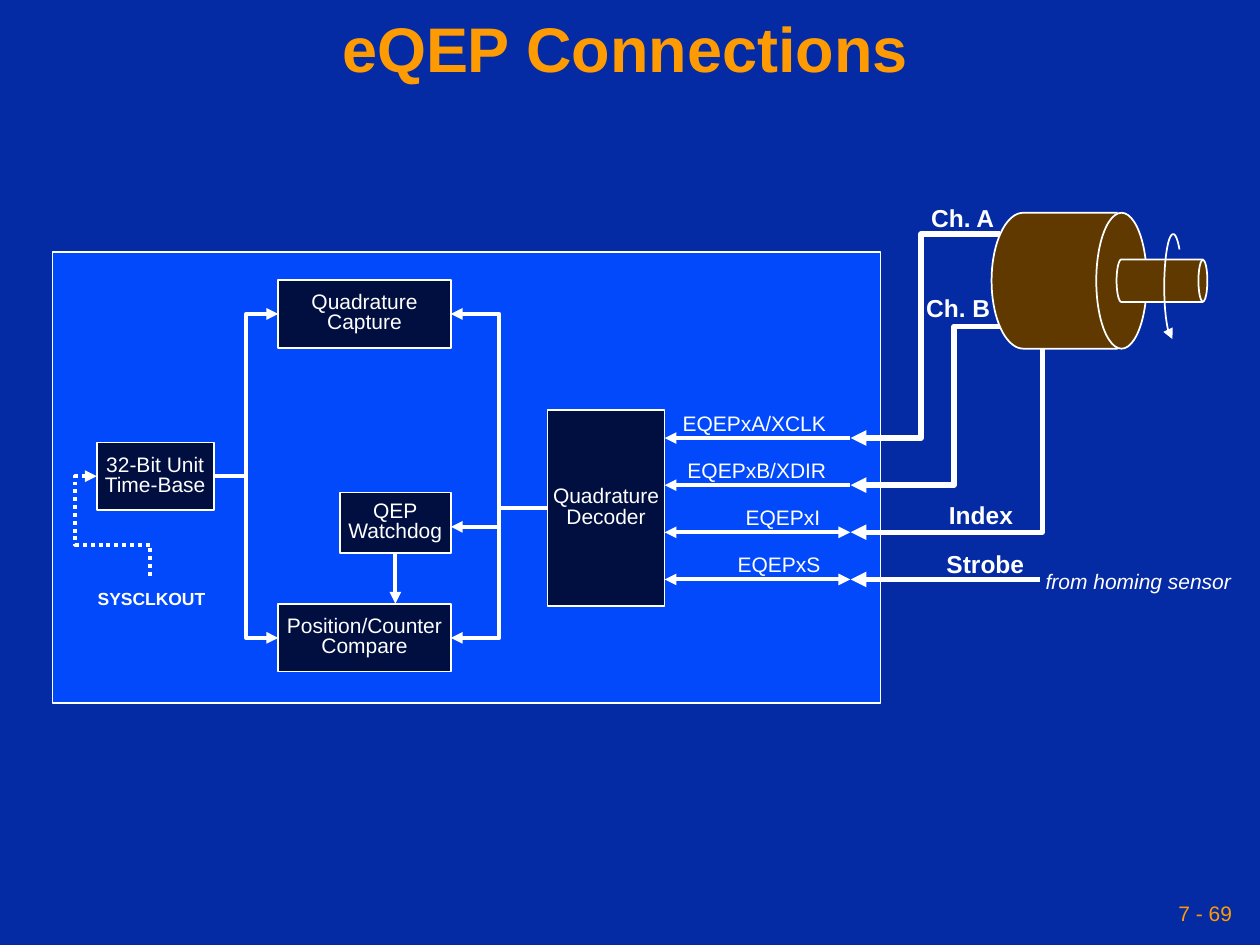
from math import cos, radians, sin

from lxml.etree import SubElement
from pptx import Presentation
from pptx.dml.color import RGBColor
from pptx.enum.dml import MSO_LINE
from pptx.enum.shapes import MSO_CONNECTOR as Link, MSO_SHAPE as Shape
from pptx.enum.text import MSO_ANCHOR as Anchor, PP_ALIGN as Align
from pptx.oxml.ns import qn
from pptx.util import Cm, Pt

NAVY = RGBColor(0x04, 0x2A, 0xA4)
BLUE = RGBColor(0x02, 0x49, 0xFC)
DARK = RGBColor(0x00, 0x0F, 0x40)
BROWN = RGBColor(0x60, 0x39, 0x00)
ORANGE = RGBColor(0xFE, 0x9B, 0x03)
WHITE = RGBColor(0xFF, 0xFF, 0xFF)

SIGNAL_TOP, SIGNAL_STEP = 3.75, 0.95


def style_paragraph(para, size, color=WHITE, bold=False, italic=False,
                    align=Align.LEFT, spacing=None):
    """Set the font and the layout of one paragraph."""
    para.alignment = align
    para.line_spacing = spacing
    font = para.font
    font.name, font.size, font.color.rgb = "Arial", Pt(size), color
    font.bold, font.italic = bold, italic


def add_label(page, text, left, top, width, height, size, **style):
    """Add one line of free text and return its text frame."""
    frame = page.shapes.add_textbox(Cm(left), Cm(top), Cm(width), Cm(height)).text_frame
    frame.word_wrap = False
    frame.text = text
    style_paragraph(frame.paragraphs[0], size, **style)
    return frame


def outline(shape, fill=None):
    """Give a shape a thin white line and an optional fill."""
    shape.shadow.inherit = False
    shape.line.color.rgb, shape.line.width = WHITE, Pt(1)
    if fill is None:
        shape.fill.background()
    else:
        shape.fill.solid()
        shape.fill.fore_color.rgb = fill


def add_preset(page, kind, left, top, width, height, fill):
    """Add an outlined preset shape."""
    shape = page.shapes.add_shape(kind, Cm(left), Cm(top), Cm(width), Cm(height))
    outline(shape, fill)
    return shape


def add_block(page, lines, left, top, width, height):
    """Add a dark box with centred lines of text."""
    box = add_preset(page, Shape.RECTANGLE, left, top, width, height, DARK)
    frame = box.text_frame
    frame.word_wrap, frame.vertical_anchor = False, Anchor.MIDDLE
    frame.text = "\n".join(lines)
    for para in frame.paragraphs:
        style_paragraph(para, 12, align=Align.CENTER, spacing=0.8)
    return box


def add_arrowheads(shape, *ends):
    """Put triangles on the named ends of a line."""
    for end in ends:
        SubElement(shape.line._get_or_add_ln(), qn(f"a:{end}"), type="triangle")


def add_wire(page, begin, end, ends=("tailEnd",), weight=2.25, preset=None,
             adjust=(), dash=None):
    """Add a white connector, straight unless a bent preset is named."""
    kind = Link.ELBOW if preset else Link.STRAIGHT
    wire = page.shapes.add_connector(kind, *map(Cm, begin + end))
    wire.line.color.rgb, wire.line.width = WHITE, Pt(weight)
    if dash:
        wire.line.dash_style = dash
    add_arrowheads(wire, *ends)
    properties = wire._element.spPr
    SubElement(properties, qn("a:effectLst"))
    if preset:
        geometry = properties.find(qn("a:prstGeom"))
        geometry.set("prst", preset)
        guides = geometry.get_or_add_avLst()
        for number, share in enumerate(adjust, 1):
            SubElement(guides, qn("a:gd"), name=f"adj{number}",
                       fmla=f"val {round(share * 100000)}")
    return wire


def arc_points(center_x, center_y, radius_x, radius_y, first, last):
    """Return points along an ellipse, with angles in degrees."""
    return [(center_x + radius_x * cos(radians(angle)),
             center_y + radius_y * sin(radians(angle)))
            for angle in range(first, last + 1, 5)]


def add_curve(page, points, fill=None):
    """Draw an open outline through the points."""
    start, *rest = [(Cm(x), Cm(y)) for x, y in points]
    builder = page.shapes.build_freeform(*start)
    builder.add_line_segments(rest, close=False)
    curve = builder.convert_to_shape()
    outline(curve, fill)
    return curve


def add_cylinder(page, center_x, center_y, radius_x, radius_y, right):
    """Draw the side of a lying cylinder, open on the right."""
    arc = arc_points(center_x, center_y, radius_x, radius_y, 90, 270)
    ends = [(right, center_y + radius_y), (right, center_y - radius_y)]
    add_curve(page, [ends[0], *arc, ends[1]], BROWN)


def add_module(page, left, top):
    """Draw the module panel with its blocks, wires and signals."""
    add_preset(page, Shape.RECTANGLE, left, top, 16.69, 9.09, BLUE)

    def block(lines, x, y, width, height):
        return add_block(page, lines, left + x, top + y, width, height)

    def wire(begin, end, **options):
        return add_wire(page, (left + begin[0], top + begin[1]),
                        (left + end[0], top + end[1]), **options)

    block(("Quadrature", "Decoder"), 9.98, 3.18, 2.36, 3.96)
    block(("Position/Counter", "Compare"), 4.55, 7.09, 3.48, 1.37)
    block(("Quadrature", "Capture"), 4.55, 0.56, 3.48, 1.37)
    block(("32-Bit Unit", "Time-Base"), 0.89, 3.84, 2.36, 1.37)
    watchdog = block(("QEP", "Watchdog"), 5.79, 4.85, 2.24, 1.22)

    for y in (1.25, 7.78):
        wire((9.98, 5.16), (8.03, y), preset="bentConnector3", adjust=(0.5,))
        wire((3.25, 4.52), (4.55, y), preset="bentConnector3", adjust=(0.5,))
    wire((9.01, 5.54), (8.03, 5.54))
    wire((6.91, 6.07), (6.91, 7.09)).begin_connect(watchdog, 2)
    wire((0.89, 4.52), (1.96, 6.58), ends=("headEnd",), preset="bentConnector4",
         adjust=(-0.4, 0.67), dash=MSO_LINE.ROUND_DOT)
    add_label(page, "SYSCLKOUT", left + 0.66, top + 6.73, 2.67, 0.61, 10,
              bold=True, spacing=0.8)

    signals = (("EQEPxA/XCLK", 12.45, 3.4, ("headEnd",)),
               ("EQEPxB/XDIR", 12.55, 3.3, ("headEnd",)),
               ("EQEPxI", 13.72, 2.01, ("headEnd", "tailEnd")),
               ("EQEPxS", 13.56, 2.18, ("headEnd", "tailEnd")))
    for row, (name, x, width, ends) in enumerate(signals):
        y = SIGNAL_TOP + row * SIGNAL_STEP
        wire((12.34, y), (16.08, y), ends=ends)
        add_label(page, name, left + x, top + y - 0.58, width, 0.66, 12, spacing=0.8)


def add_encoder_wiring(page, left, top):
    """Draw the labelled wires from the encoder to the module pins."""
    for name, x, y, width in (("Ch. A", 1.37, 0, 1.8), ("Ch. B", 1.27, 1.83, 1.8),
                              ("Index", 1.73, 5.99, 1.8), ("Strobe", 1.68, 6.99, 2.08)):
        add_label(page, name, left + x, top + y, width, 0.84, 14, bold=True)
    add_label(page, "from homing sensor", left + 3.68, top + 7.47, 4.24, 0.66, 12,
              italic=True, spacing=0.8)

    pins = [(left, top + 4.87 + row * SIGNAL_STEP) for row in range(4)]
    for pin, y, bend in ((pins[0], 0.76, 0.53), (pins[1], 2.62, 0.31)):
        add_wire(page, (left + 3.02, top + y), pin, weight=3,
                 preset="bentConnector3", adjust=(bend,))
    add_wire(page, pins[2], (left + 3.86, top + 3.02), ends=("headEnd",), weight=3,
             preset="bentConnector2")
    add_wire(page, (left + 3.81, pins[3][1]), pins[3], weight=3)


def add_encoder(page, left, top):
    """Draw the encoder body, its shaft and the rotation arrow."""
    axis = top + 1.37
    add_cylinder(page, left + 0.64, axis, 0.64, 1.37, left + 2.54)
    add_preset(page, Shape.OVAL, left + 2.11, top, 1.02, 2.74, BROWN)
    add_cylinder(page, left + 2.62, axis, 0.1, 0.43, left + 4.27)
    add_preset(page, Shape.OVAL, left + 4.17, axis - 0.42, 0.18, 0.84, BROWN)
    rotation = add_curve(page, arc_points(left + 3.66, top + 1.49, 0.18, 1.06, 95, 315))
    add_arrowheads(rotation, "headEnd")


def add_title(page, text):
    """Place and format the title placeholder."""
    title = page.shapes.title
    title.left, title.top, title.width, title.height = map(Cm, (0, 0, 25.2, 2.11))
    title.text_frame.text = text
    title.text_frame.vertical_anchor = Anchor.MIDDLE
    style_paragraph(title.text_frame.paragraphs[0], 36, ORANGE, bold=True,
                    align=Align.CENTER, spacing=0.9)


def main():
    """Build the deck and save it."""
    deck = Presentation()
    deck.slide_width, deck.slide_height = Cm(25.4), Cm(19.05)
    page = deck.slides.add_slide(deck.slide_layouts[5])
    page.background.fill.solid()
    page.background.fill.fore_color.rgb = NAVY
    add_title(page, "eQEP Connections")
    add_module(page, 1.06, 5.08)
    add_encoder_wiring(page, 17.15, 3.96)
    add_encoder(page, 19.99, 4.29)
    number = add_label(page, "7 - 69", 17.35, 17.98, 7.62, 0.84, 12,
                       color=ORANGE, align=Align.RIGHT)
    number.vertical_anchor = Anchor.MIDDLE
    number.margin_left = number.margin_right = Cm(0.13)
    deck.save("out.pptx")


if __name__ == "__main__":
    main()
